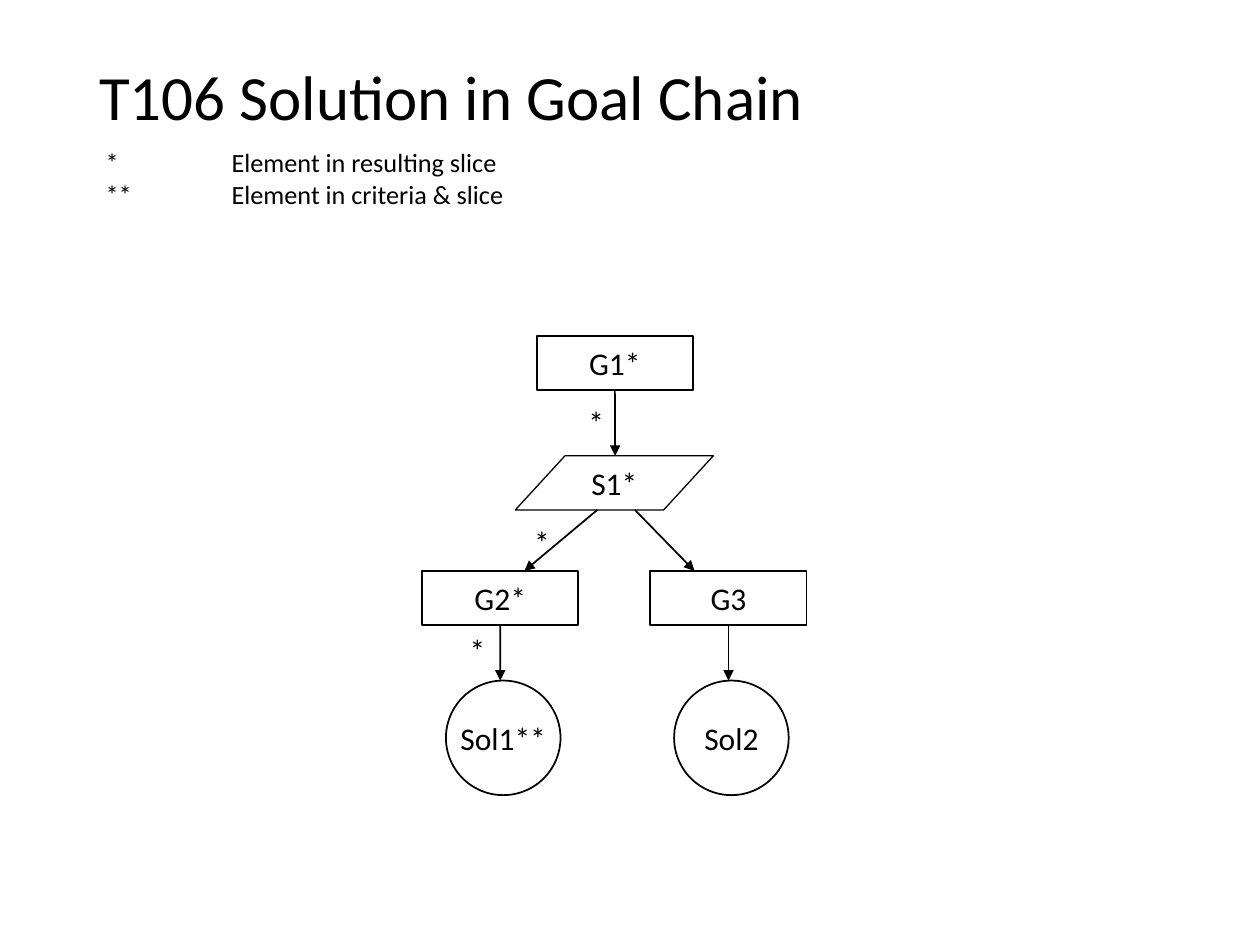
from lxml import etree
from pptx import Presentation
from pptx.dml.color import RGBColor
from pptx.enum.shapes import MSO_CONNECTOR, MSO_SHAPE
from pptx.enum.text import MSO_ANCHOR, PP_ALIGN
from pptx.oxml.ns import qn
from pptx.util import Cm, Pt

RECT, OVAL = MSO_SHAPE.RECTANGLE, MSO_SHAPE.OVAL
PARALLELOGRAM = MSO_SHAPE.PARALLELOGRAM
STRAIGHT = MSO_CONNECTOR.STRAIGHT
TOP, MIDDLE = MSO_ANCHOR.TOP, MSO_ANCHOR.MIDDLE
LEFT, CENTER = PP_ALIGN.LEFT, PP_ALIGN.CENTER
BOTTOM_SIDE = 2
FONT = "Calibri"
COLORS = {"ink": "000000", "paper": "FFFFFF"}


def color(name):
    return RGBColor.from_string(COLORS[name])


def write(tf, text, size=18, align=LEFT, anchor=TOP, wrap=True, spacing=None, tab=None):
    tf.word_wrap = wrap
    tf.vertical_anchor = anchor
    tf.margin_left = tf.margin_right = Cm(0.25)
    tf.margin_top = tf.margin_bottom = Cm(0.13)
    for i, line in enumerate(text.split("\n")):
        p = tf.add_paragraph() if i else tf.paragraphs[0]
        p.alignment = align
        if spacing:
            p.line_spacing = spacing
        if tab:
            tabs = etree.SubElement(p._p.get_or_add_pPr(), qn("a:tabLst"))
            etree.SubElement(tabs, qn("a:tab"), pos=str(Cm(tab)), algn="l")
        r = p.add_run()
        r.text = line
        r.font.name = FONT
        r.font.size = Pt(size)
        r.font.color.rgb = color("ink")


class GoalDiagram:
    def __init__(self, slide):
        self.s = slide

    def text(self, text, x, y, w, h, **fmt):
        sp = self.s.shapes.add_textbox(Cm(x), Cm(y), Cm(w), Cm(h))
        write(sp.text_frame, text, **fmt)

    def node(self, kind, text, x, y, w, h, line=0.94, wrap=True):
        sp = self.s.shapes.add_shape(kind, Cm(x), Cm(y), Cm(w), Cm(h))
        sp.shadow.inherit = False
        sp.fill.solid()
        sp.fill.fore_color.rgb = color("paper")
        sp.line.color.rgb = color("ink")
        sp.line.width = Pt(line)
        write(sp.text_frame, text, align=CENTER, anchor=MIDDLE, wrap=wrap)
        return sp

    def arrow(self, x1, y1, x2, y2, source=None):
        cxn = self.s.shapes.add_connector(STRAIGHT, Cm(x1), Cm(y1), Cm(x2), Cm(y2))
        if source is not None:
            cxn.begin_connect(source, BOTTOM_SIDE)
        cxn.line.color.rgb = color("ink")
        cxn.line.width = Pt(1)
        etree.SubElement(cxn.line._get_or_add_ln(), qn("a:tailEnd"), type="triangle")
        etree.SubElement(cxn._element.spPr, qn("a:effectLst"))


def main():
    prs = Presentation()
    prs.slide_width, prs.slide_height = Cm(25.4), Cm(19.05)
    d = GoalDiagram(prs.slides.add_slide(prs.slide_layouts[6]))

    d.text("*\tElement in resulting slice\n**\tElement in criteria & slice",
           1.88, 2.82, 10.52, 1.57, size=15, tab=2.54)
    d.text("T106 Solution in Goal Chain", 1.75, 1.02, 21.92, 1.98,
           size=36, anchor=MIDDLE, spacing=0.9)

    w, h, circle = 3.15, 1.09, 2.31
    goal_y, strategy_y, subgoal_y, solution_y = 6.78, 9.19, 11.51, 13.72

    goal = d.node(RECT, "G1*", 10.82, goal_y, w, h)
    d.arrow(12.4, goal_y + h, 12.4, strategy_y, source=goal)
    strategy = d.node(PARALLELOGRAM, "S1*", 10.39, strategy_y, 3.99, h,
                      line=0.75, wrap=False)
    strategy.adjustments[0] = 0.917

    branches = [
        ("G2*", "Sol1**", 8.51, 12.04, 10.57),
        ("G3", "Sol2", 13.11, 12.8, 14),
    ]
    for subgoal, solution, x, start_x, end_x in branches:
        box = d.node(RECT, subgoal, x, subgoal_y, w, h)
        d.arrow(start_x, strategy_y + h, end_x, subgoal_y)
        d.node(OVAL, solution, x + 0.48, solution_y, circle, circle,
               line=1, wrap=False)
        middle = x + w / 2
        d.arrow(middle, subgoal_y + h, middle, solution_y, source=box)

    for x, y in [(9.22, 12.6), (10.52, 10.41), (11.61, 8)]:
        d.text("*", x, y, 0.81, 1.02)

    prs.save("out.pptx")


if __name__ == "__main__":
    main()
